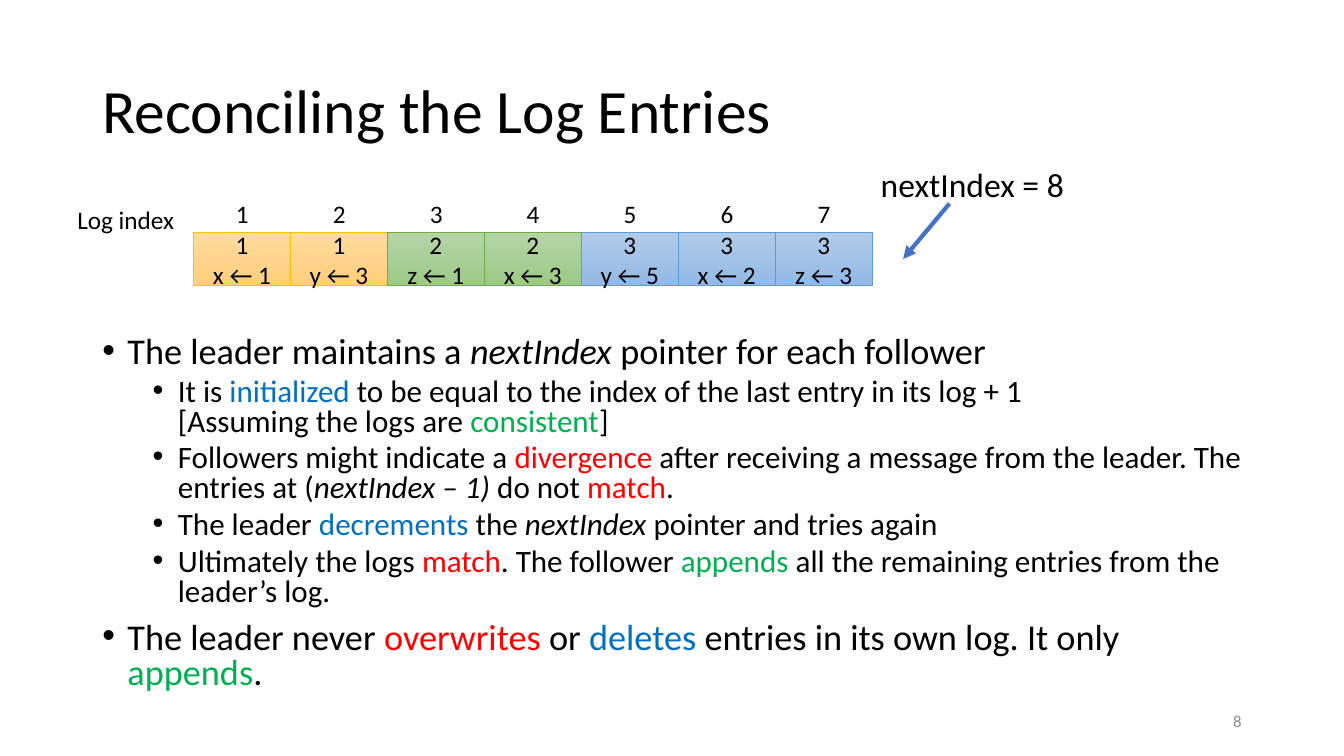
from dataclasses import dataclass

from lxml import etree
from pptx import Presentation
from pptx.dml.color import RGBColor
from pptx.enum.shapes import MSO_CONNECTOR, MSO_SHAPE
from pptx.enum.text import MSO_ANCHOR, MSO_AUTO_SIZE, PP_ALIGN
from pptx.oxml.ns import qn
from pptx.util import Pt

LEFT, CENTER, RIGHT = PP_ALIGN.LEFT, PP_ALIGN.CENTER, PP_ALIGN.RIGHT
TOP, MIDDLE = MSO_ANCHOR.TOP, MSO_ANCHOR.MIDDLE


@dataclass(frozen=True)
class Theme:
    font: str = "Calibri"
    title: float = 44
    point: float = 25.9
    subpoint: float = 22.2
    pointer: float = 24
    label: float = 18
    footer: float = 12
    black: str = "000000"
    gray: str = "8C8C8C"
    blue: str = "0070C0"
    green: str = "00B050"
    red: str = "FF0000"
    arrow: str = "4472C4"
    # Gradient start, gradient end and outline of the entries in each term
    terms: tuple = (
        ("FFDB9E", "FFD07C", "FFC000"),
        ("B5D5A7", "9CC987", "70AD47"),
        ("B1CBE9", "93B9E4", "5B9BD5"),
    )


THEME = Theme()
BLUE, GREEN, RED = THEME.blue, THEME.green, THEME.red
ITALIC, BREAK = "italic", "break"

LOG = [(1, "x ← 1"), (1, "y ← 3"), (2, "z ← 1"), (2, "x ← 3"),
       (3, "y ← 5"), (3, "x ← 2"), (3, "z ← 3")]
LOG_LEFT, LOG_TOP = 138.2, 166.2
ENTRY_WIDTH, ENTRY_HEIGHT = 69.25, 37.8
INDEX_WIDTH = 23.8

# Each bullet is its level and its spans; a styled span is (text, style).
BULLETS = [
    (0, ["The leader maintains a ", ("nextIndex ", ITALIC), "pointer for each follower"]),
    (1, ["It is ", ("initialized", BLUE),
         " to be equal to the index of the last entry in its log + 1", ("", BREAK),
         "[Assuming the logs are ", ("consistent", GREEN), "]"]),
    (1, ["Followers might indicate a ", ("divergence", RED),
         " after receiving a message from the leader. The entries at (",
         ("nextIndex – 1) ", ITALIC), "do not ", ("match", RED), "."]),
    (1, ["The leader ", ("decrements", BLUE), " the ", ("nextIndex", ITALIC),
         " pointer and tries again"]),
    (1, ["Ultimately the logs ", ("match", RED), ". The follower ", ("appends", GREEN),
         " all the remaining entries from the leader’s log."]),
    (0, ["The leader never ", ("overwrites", RED), " or ", ("deletes", BLUE),
         " entries in its own log. It only ", ("appends", GREEN), "."]),
]


def rgb(color):
    return RGBColor.from_string(color)


def set_font(para, size, color=THEME.black):
    para.font.name = THEME.font
    para.font.size = Pt(size)
    para.font.color.rgb = rgb(color)


def add_text(page, text, left, top, width, height, size,
             color=THEME.black, align=LEFT, anchor=TOP, wrap=True):
    box = page.shapes.add_textbox(Pt(left), Pt(top), Pt(width), Pt(height))
    frame = box.text_frame
    frame.word_wrap = wrap
    frame.auto_size = MSO_AUTO_SIZE.NONE if wrap else MSO_AUTO_SIZE.SHAPE_TO_FIT_TEXT
    frame.vertical_anchor = anchor
    para = frame.paragraphs[0]
    para.text = text
    para.alignment = align
    set_font(para, size, color)
    return para


def add_entry(page, left, term, command):
    """Draw one log cell in the colours of its term."""
    start, end, outline = THEME.terms[term - 1]
    cell = page.shapes.add_shape(MSO_SHAPE.RECTANGLE, Pt(left), Pt(LOG_TOP),
                                 Pt(ENTRY_WIDTH), Pt(ENTRY_HEIGHT))
    cell.shadow.inherit = False
    cell.fill.gradient()
    cell.fill.gradient_angle = 270
    for stop, color in zip(cell.fill.gradient_stops, (start, end)):
        stop.color.rgb = rgb(color)
    cell.line.color.rgb = rgb(outline)
    cell.line.width = Pt(0.5)
    frame = cell.text_frame
    frame.vertical_anchor = MIDDLE
    frame.text = f"{term}\n{command}"
    for para in frame.paragraphs:
        para.alignment = CENTER
        set_font(para, THEME.label)


def add_log(page):
    for position, (term, command) in enumerate(LOG):
        left = LOG_LEFT + position * ENTRY_WIDTH
        add_entry(page, left, term, command)
        add_text(page, str(position + 1), left + (ENTRY_WIDTH - INDEX_WIDTH) / 2 + 0.5,
                 137.8, INDEX_WIDTH, 28.8, THEME.label, wrap=False)


def add_arrow(page, start, end):
    arrow = page.shapes.add_connector(MSO_CONNECTOR.STRAIGHT, *map(Pt, start + end))
    arrow.line.color.rgb = rgb(THEME.arrow)
    arrow.line.width = Pt(3)
    etree.SubElement(arrow.line._get_or_add_ln(), qn("a:tailEnd"), type="triangle")
    etree.SubElement(arrow._element.spPr, qn("a:effectLst"))


def format_bullet(para, level):
    para.level = level
    para.line_spacing = 0.8
    para.space_before = Pt(5 if level else 10)
    set_font(para, THEME.subpoint if level else THEME.point)
    properties = para._p.get_or_add_pPr()
    properties.set("marL", str(Pt(18 + 36 * level)))
    properties.set("indent", str(-Pt(18)))
    bullet_font = etree.Element(qn("a:buFont"), typeface="Arial")
    bullet = etree.Element(qn("a:buChar"), char="•")
    defaults = properties.find(qn("a:defRPr"))
    defaults.addprevious(bullet_font)
    defaults.addprevious(bullet)


def add_spans(para, spans):
    for item in spans:
        text, style = (item, None) if isinstance(item, str) else item
        if style == BREAK:
            para.add_line_break()
            continue
        span = para.add_run()
        span.text = text
        if style == ITALIC:
            span.font.italic = True
        elif style:
            span.font.color.rgb = rgb(style)


def add_bullets(page, left, top, width, height):
    box = page.shapes.add_textbox(Pt(left), Pt(top), Pt(width), Pt(height))
    frame = box.text_frame
    frame.word_wrap = True
    for number, (level, spans) in enumerate(BULLETS):
        para = frame.add_paragraph() if number else frame.paragraphs[0]
        format_bullet(para, level)
        add_spans(para, spans)


def main():
    deck = Presentation()
    deck.slide_width, deck.slide_height = Pt(960), Pt(540)
    page = deck.slides.add_slide(deck.slide_layouts[6])

    title = add_text(page, "Reconciling the Log Entries", 66, 28.8, 828, 104.4,
                     THEME.title, anchor=MIDDLE)
    title.line_spacing = 0.9
    add_bullets(page, 66, 236.9, 828, 274.3)
    add_text(page, "8", 678, 500.4, 216, 28.8, THEME.footer, THEME.gray, RIGHT, MIDDLE)

    add_log(page)
    add_text(page, "Log index", 48.2, 142.6, 84.2, 28.8, THEME.label, wrap=False)
    add_text(page, "nextIndex = 8", 622, 113.8, 146.9, 36, THEME.pointer, wrap=False)
    add_arrow(page, (678.2, 145.4), (645.1, 185))

    deck.save("out.pptx")


if __name__ == "__main__":
    main()
